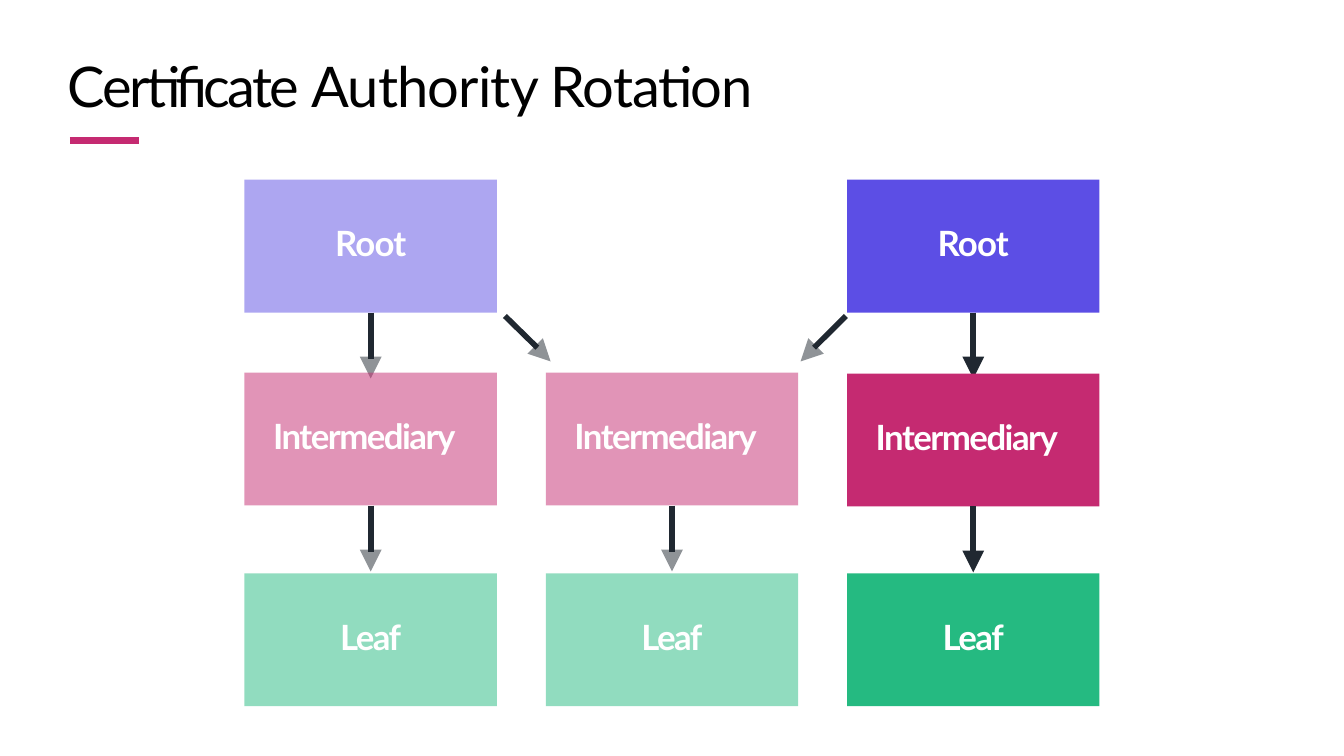
"""Build the Certificate Authority Rotation slide."""
from lxml import etree
from pptx import Presentation
from pptx.dml.color import RGBColor
from pptx.enum.shapes import MSO_CONNECTOR as CONN, MSO_SHAPE as SHAPE
from pptx.enum.text import MSO_ANCHOR as ANCHOR, PP_ALIGN as ALIGN
from pptx.oxml.ns import qn
from pptx.util import Cm, Pt

COLORS = {"root": "5C4EE5", "intermediary": "C52A71", "leaf": "25BA81",
          "arrow": "202831", "title": "000000", "label": "FFFFFF"}
BOX_W, BOX_H = 10.49, 5.52
COL_X = [10.16 + 12.52 * i for i in range(3)]
HEAD = 0.91

prs = Presentation()
prs.slide_width, prs.slide_height = Cm(55.85), Cm(31.42)
s = prs.slides.add_slide(prs.slide_layouts[6])


def add_line(x1, y1, x2, y2, color, width):
    line = s.shapes.add_connector(CONN.STRAIGHT, Cm(x1), Cm(y1), Cm(x2), Cm(y2))
    line.line.color.rgb = RGBColor.from_string(COLORS[color])
    line.line.width = Pt(width)
    etree.SubElement(line._element.spPr, qn("a:effectLst"))
    return line


def add_filled(kind, x, y, w, h, color, faded):
    sp = s.shapes.add_shape(kind, Cm(x), Cm(y), Cm(w), Cm(h))
    sp.shadow.inherit = False
    sp.line.fill.background()
    sp.fill.solid()
    sp.fill.fore_color.rgb = RGBColor.from_string(COLORS[color])
    if faded:
        rgb = sp._element.spPr.find(qn("a:solidFill")).find(qn("a:srgbClr"))
        etree.SubElement(rgb, qn("a:alpha"), val="50000")
    return sp


add_line(2.9, 5.82, 5.79, 5.82, "intermediary", 8.25)

title = s.shapes.add_textbox(Cm(2.82), Cm(2.11), Cm(29.13), Cm(2.87))
tf = title.text_frame
tf.word_wrap = True
tf.margin_left = tf.margin_right = tf.margin_bottom = 0
tf.margin_top = Cm(0.03)
p = tf.paragraphs[0]
for text, spacing in [("Certificate ", -300), ("Authority Rotation", -100)]:
    r = p.add_run()
    r.text = text
    r.font.size = Pt(66)
    r.font.name = "Lato"
    r.font.color.rgb = RGBColor.from_string(COLORS["title"])
    r._r.get_or_add_rPr().set("spc", str(spacing))

boxes = [
    ("Root", 0, 7.47, True), ("Intermediary", 0, 15.49, True), ("Leaf", 0, 23.83, True),
    ("Intermediary", 1, 15.49, True), ("Leaf", 1, 23.83, True),
    ("Root", 2, 7.47, False), ("Intermediary", 2, 15.53, False), ("Leaf", 2, 23.83, False),
]
for text, col, y, faded in boxes:
    x = COL_X[col]
    sp = add_filled(SHAPE.RECTANGLE, x, y, BOX_W, BOX_H, text.lower(), faded)
    tf = sp.text_frame
    tf.word_wrap = True
    tf.vertical_anchor = ANCHOR.TOP
    tf.margin_left = tf.margin_right = tf.margin_bottom = 0
    tf.margin_top = Cm(1.75)
    tf.text = text
    p = tf.paragraphs[0]
    p.alignment = ALIGN.CENTER
    if text == "Intermediary":
        p.alignment = ALIGN.LEFT
        tf.margin_left = Cm(1.19)
    r = p.runs[0]
    r.font.size = Pt(41)
    r.font.name = "Lato"
    r.font.bold = True
    r.font.color.rgb = RGBColor.from_string(COLORS["label"])
    r._r.get_or_add_rPr().set("spc", "-100" if text == "Root" else "-180")

    if text != "Leaf":
        mid, bottom = x + BOX_W / 2, y + BOX_H
        line = add_line(mid, bottom, mid, bottom + 1.94, "arrow", 6.6)
        line.begin_connect(sp, 2)
        head = add_filled(SHAPE.ISOSCELES_TRIANGLE, mid - HEAD / 2, bottom + 1.83,
                          HEAD, HEAD, "arrow", faded)
        head.rotation = 180

for x1, x2, head_x, angle in [(35.15, 33.83, 33.59, 225), (20.98, 22.33, 22.56, 135)]:
    add_line(x1, 13.13, x2, 14.45, "arrow", 6.6)
    head = add_filled(SHAPE.ISOSCELES_TRIANGLE, head_x - HEAD / 2, 14.7 - HEAD / 2,
                      HEAD, HEAD, "arrow", True)
    head.rotation = angle

prs.save("out.pptx")
